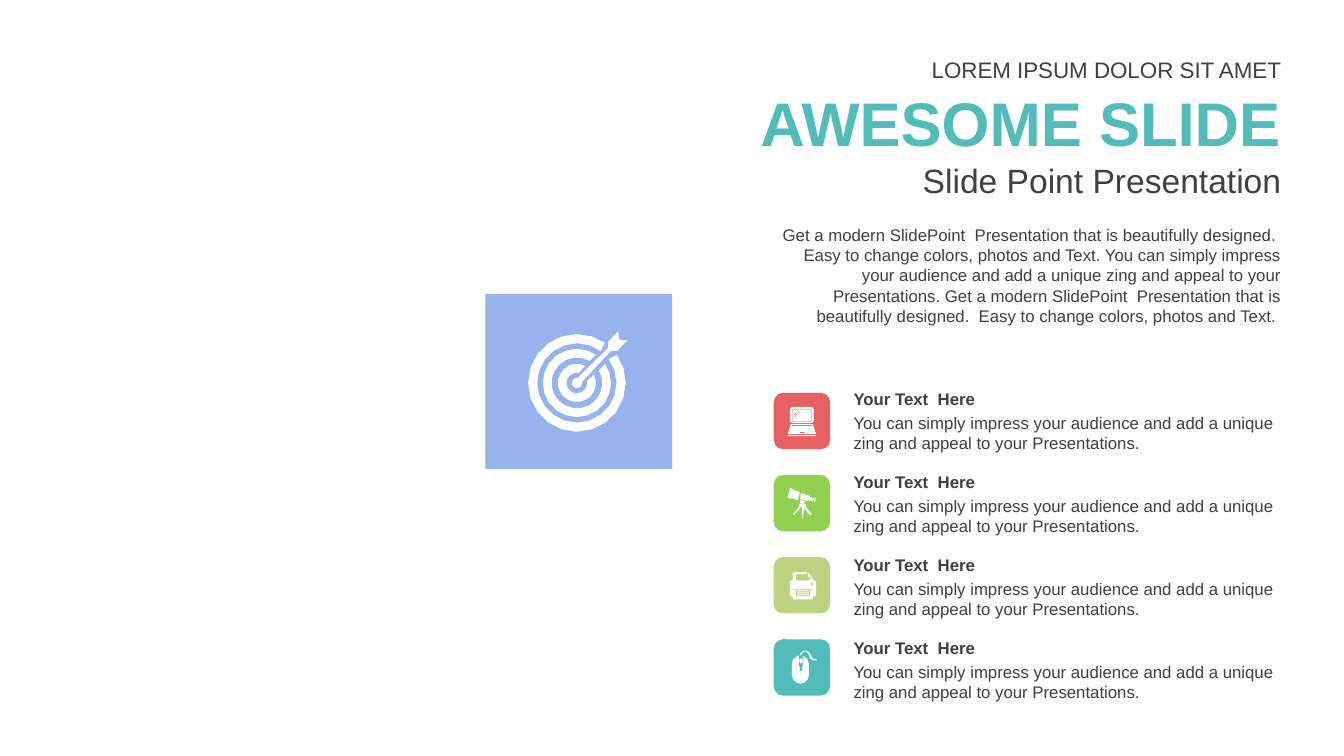
from dataclasses import dataclass
from math import cos, radians, sin

from pptx import Presentation
from pptx.dml.color import RGBColor
from pptx.enum.shapes import MSO_SHAPE as Shp
from pptx.enum.text import MSO_ANCHOR as Anchor, MSO_AUTO_SIZE as Fit, PP_ALIGN as Align
from pptx.util import Cm, Pt

Point = tuple[float, float]
Contour = list[Point]

WHITE = RGBColor(0xFF, 0xFF, 0xFF)
GRAY = RGBColor(0x40, 0x40, 0x40)
TEAL = RGBColor(0x51, 0xBC, 0xB9)
BLUE = RGBColor(0x96, 0xB3, 0xEE)
RED = RGBColor(0xE8, 0x61, 0x62)
GREEN = RGBColor(0x92, 0xD0, 0x50)
OLIVE = RGBColor(0xBE, 0xD3, 0x81)

FONT = "Arial"
RIGHT = 32.54
TILE = 1.42
TILE_LEFT, TILE_TOP, TILE_STEP = 19.5, 9.9, 2.07
ITEM_LEFT, ITEM_TOP, ITEM_STEP = 21.26, 9.68, 2.09
ICON_UNIT = TILE / 56

INTRO = (
    "Get a modern SlidePoint  Presentation that is beautifully designed.  "
    "Easy to change colors, photos and Text. You can simply impress your audience "
    "and add a unique zing and appeal to your Presentations. "
    "Get a modern SlidePoint  Presentation that is beautifully designed.  "
    "Easy to change colors, photos and Text. "
)
HEADING = "Your Text  Here"
DETAIL = (
    "You can simply impress your audience and add a unique zing "
    "and appeal to your Presentations."
)


@dataclass
class Item:
    color: RGBColor
    icon: list[Contour]


@dataclass
class Ring:
    outer: float
    inner: float
    outer_gap: float
    inner_gap: float


def arc(cx: float, cy: float, r: float, start: float, end: float, step: float = 45) -> Contour:
    count = max(1, round(abs(end - start) / step))
    angles = [radians(start + (end - start) * i / count) for i in range(count + 1)]
    return [(cx + r * cos(a), cy - r * sin(a)) for a in angles]


def box(x: float, y: float, w: float, h: float) -> Contour:
    return [(x, y), (x + w, y), (x + w, y + h), (x, y + h)]


def round_box(x: float, y: float, w: float, h: float, r: float) -> Contour:
    return (
        arc(x + w - r, y + r, r, 90, 0)
        + arc(x + w - r, y + h - r, r, 0, -90)
        + arc(x + r, y + h - r, r, -90, -180)
        + arc(x + r, y + r, r, 180, 90)
    )


def open_ring(ring: Ring) -> Contour:
    return arc(0, 0, ring.outer, 45 + ring.outer_gap, 405 - ring.outer_gap, 18) + arc(
        0, 0, ring.inner, 405 - ring.inner_gap, 45 + ring.inner_gap, 18
    )


RINGS = [Ring(1.23, 1, 10, 8), Ring(0.86, 0.64, 11, 15), Ring(0.48, 0.26, 19, 34)]
ARROW = (
    [(1.04, -1.3), (1.07, -1.09), (1.27, -1.07), (1.02, -0.81), (0.86, -0.81)]
    + arc(0, 0, 0.13, 10, -280, 30)
    + [(0.79, -0.89), (0.79, -1.04)]
)
TARGET = [open_ring(ring) for ring in RINGS] + [ARROW]

LAPTOP = [
    box(-14, 14, 28, 1),
    [(-11, 3), (11, 3), (14, 13), (-14, 13)],
    box(-2, 11, 5, 1),
    box(-10, 4, 21, 1),
    round_box(-12, -14, 24, 16, 3),
    round_box(-10, -12, 20, 13, 2),
    round_box(-9.5, -11.5, 19, 12, 2),
    [(-2, -10), (-8, -4), (-8, -3), (-2, -9)],
    [(-4, -10), (-8, -7), (-8, -6), (-7, -6)],
]
TELESCOPE = [
    [(-2, -3), (3, -2), (3, -1), (2, 0), (2, 1), (4, 1), (4, 4), (10, 11), (8, 12),
     (2, 5), (1, 15), (0, 15), (0, 4), (-1, 4), (-8, 12), (-9, 11), (-3, 4), (-3, 1),
     (-1, 1), (-1, 0), (-2, -1)],
    [(13, -6), (14, -6), (13, -1), (12, -1)],
    [(8, -6), (12, -5), (11, -2), (7, -3)],
    [(-1, -10), (8, -7), (6, -2), (-2, -4)],
    [(-8, -13), (-2, -11), (-4, -3), (-10, -5)],
    [(-11, -15), (-8, -13), (-11, -4), (-14, -6), (-12, -15)],
]
PRINTER = [box(-5, y, 12, 1) for y in (5, 7, 9)] + [
    [(-9, 5), (-6, 5), (-6, 11), (8, 11), (8, 5), (11, 5), (11, 14), (-9, 14)],
    arc(12, -3, 2, 90, 0) + arc(12, 9, 2, 0, -90)
    + [(11, 11), (11, 4), (-9, 4), (-9, 11)]
    + arc(-10, 9, 2, -90, -180) + arc(-10, -3, 2, 180, 90),
    box(9, -3, 2, 3),
    box(8, -7, 3, 2),
    [(6, -13), (10, -8), (6, -8)],
    [(-9, -13), (5, -13), (5, -11), (-6, -11), (-6, -5), (-9, -5)],
]
MOUSE = [
    round_box(-2.5, -9, 3, 5, 1.5),
    [(-3, -12), (-3, -2), (-2, 0), (-2, 3), (-1, 4), (0, 3), (0, 0), (1, -2), (1, -12)]
    + arc(-1.5, -3.5, 8.5, 73, 0, 30)
    + arc(-1.5, 7.5, 8.5, 0, -180, 30)
    + arc(-1.5, -3.5, 8.5, 180, 100, 30),
    [(-2, -12), (-1, -15), (1, -16), (3, -17), (6, -16), (8, -14), (9, -12), (11, -9),
     (15, -8), (15, -7), (11, -7), (8, -9), (7, -12), (5, -15), (3, -16), (1, -15),
     (-1, -12)],
]
ITEMS = [Item(RED, LAPTOP), Item(GREEN, TELESCOPE), Item(OLIVE, PRINTER), Item(TEAL, MOUSE)]


def paint(sp, color: RGBColor) -> None:
    sp.fill.solid()
    sp.fill.fore_color.rgb = color
    sp.line.fill.background()
    sp.shadow.inherit = False


def add_block(slide, kind, x: float, y: float, w: float, h: float, color: RGBColor) -> None:
    paint(slide.shapes.add_shape(kind, Cm(x), Cm(y), Cm(w), Cm(h)), color)


def add_icon(slide, cx: float, cy: float, unit: float, contours: list[Contour]) -> None:
    outlines = [[(Cm(cx + x * unit), Cm(cy + y * unit)) for x, y in c] for c in contours]
    builder = slide.shapes.build_freeform(*outlines[0][0])
    for i, outline in enumerate(outlines):
        if i:
            builder.move_to(*outline[0])
        builder.add_line_segments(outline[1:], close=True)
    paint(builder.convert_to_shape(), WHITE)


def add_text(slide, text: str, x: float, y: float, h: float, *, size: float = 12,
             color: RGBColor = GRAY, bold: bool = False, align=Align.LEFT,
             anchor=Anchor.TOP, sp=None) -> None:
    bounds = Cm(x), Cm(y), Cm(RIGHT - x), Cm(h)
    if sp is None:
        sp = slide.shapes.add_textbox(*bounds)
    sp.left, sp.top, sp.width, sp.height = bounds
    tf = sp.text_frame
    tf.word_wrap = True
    tf.auto_size = Fit.SHAPE_TO_FIT_TEXT
    tf.vertical_anchor = anchor
    p = tf.paragraphs[0]
    p.alignment = align
    r = p.add_run()
    r.text = text
    r.font.name = FONT
    r.font.size = Pt(size)
    r.font.bold = bold
    r.font.color.rgb = color


def main() -> None:
    prs = Presentation()
    prs.slide_width, prs.slide_height = Cm(33.87), Cm(19.05)
    slide = prs.slides.add_slide(prs.slide_layouts[5])

    add_block(slide, Shp.RECTANGLE, 12.23, 7.41, 4.71, 4.41, BLUE)
    add_icon(slide, 14.54, 9.65, 1, TARGET)

    add_text(slide, "AWESOME SLIDE", 17.27, 2, 2.14, size=44, color=TEAL, bold=True,
             align=Align.RIGHT, anchor=Anchor.MIDDLE, sp=slide.shapes.title)
    add_text(slide, "Slide Point Presentation", 17.27, 3.91, 1.27, size=24,
             align=Align.RIGHT, anchor=Anchor.MIDDLE)
    add_text(slide, "LOREM IPSUM DOLOR SIT AMET", 17.27, 1.3, 0.94, size=16,
             align=Align.RIGHT)
    add_text(slide, INTRO, 19.1, 5.54, 2.82, align=Align.RIGHT)

    for i, item in enumerate(ITEMS):
        tile_top = TILE_TOP + i * TILE_STEP
        add_block(slide, Shp.ROUNDED_RECTANGLE, TILE_LEFT, tile_top, TILE, TILE, item.color)
        add_icon(slide, TILE_LEFT + TILE / 2, tile_top + TILE / 2, ICON_UNIT, item.icon)
        text_top = ITEM_TOP + i * ITEM_STEP
        add_text(slide, HEADING, ITEM_LEFT, text_top, 0.76, bold=True)
        add_text(slide, DETAIL, ITEM_LEFT, text_top + 0.6, 1.27)

    prs.save("out.pptx")


if __name__ == "__main__":
    main()
